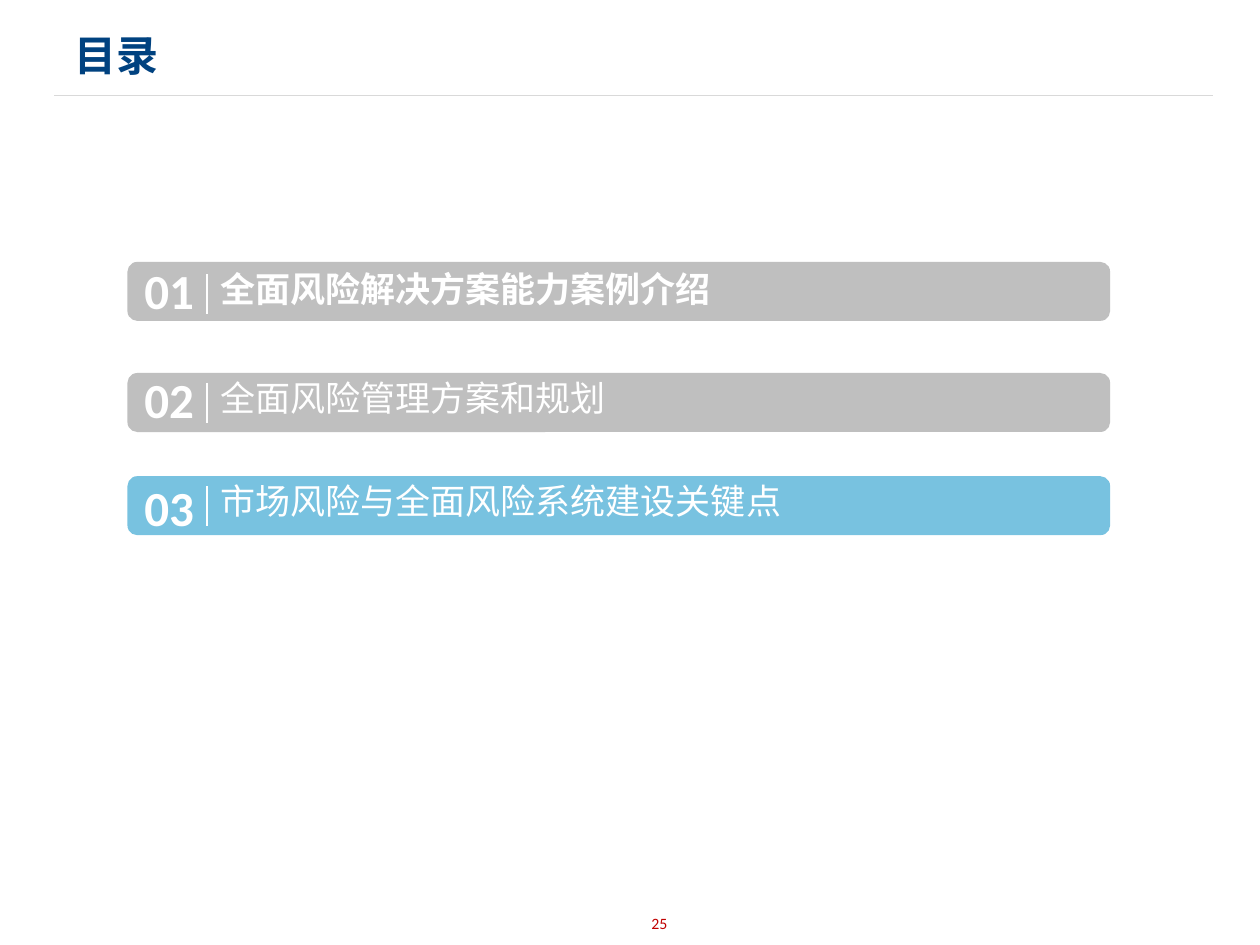
from lxml import etree
from pptx import Presentation
from pptx import util as u
from pptx.dml.color import RGBColor
from pptx.enum import shapes, text
from pptx.oxml.ns import qn

Cm = u.Cm
COLORS = {"title": "004280", "rule": "D9D9D9", "page": "C00000",
          "muted": "BFBFBF", "active": "78C2E0", "white": "FFFFFF"}


def write(tf, words, size, color, font="Calibri", bold=False, align="LEFT",
          anchor="TOP", wrap=True, inset=(0.25, 0.13)):
    tf.word_wrap = wrap
    tf.auto_size = text.MSO_AUTO_SIZE.NONE
    tf.vertical_anchor = getattr(text.MSO_ANCHOR, anchor)
    tf.margin_left = tf.margin_right = Cm(inset[0])
    tf.margin_top = tf.margin_bottom = Cm(inset[1])
    p = tf.paragraphs[0]
    p.alignment = getattr(text.PP_ALIGN, align)
    r = p.add_run()
    r.text = words
    r.font.size = u.Pt(size)
    r.font.bold = bold
    r.font.name = font
    r.font.color.rgb = RGBColor.from_string(COLORS[color])
    ea = etree.SubElement(r.font._element, qn("a:ea"))
    ea.set("typeface", "Noto Sans CJK SC")
    return p


def add_line(parent, x1, y1, x2, y2, color):
    c = parent.add_connector(shapes.MSO_CONNECTOR.STRAIGHT,
                             Cm(x1), Cm(y1), Cm(x2), Cm(y2))
    c.line.color.rgb = RGBColor.from_string(COLORS[color])
    c.line.width = u.Pt(0.75)
    etree.SubElement(c._element.spPr, qn("a:effectLst"))


prs = Presentation()
prs.slide_width, prs.slide_height = Cm(25.4), Cm(19.05)
s = prs.slides.add_slide(prs.slide_layouts[5])

add_line(s.shapes, 1.09, 1.93, 24.46, 1.93, "rule")

title = s.shapes.title
title.left, title.top, title.width, title.height = Cm(1.3), Cm(0.2), Cm(23.19), Cm(1.8)
write(title.text_frame, "目录", 24, "title", bold=True, anchor="MIDDLE", inset=(0.2, 0.1))

page = s.shapes.add_textbox(Cm(11.35), Cm(18.11), Cm(3.89), Cm(1.02))
write(page.text_frame, "25", 9, "page", align="CENTER", anchor="MIDDLE", inset=(0.2, 0.1))

sections = [
    ("01", "全面风险解决方案能力案例介绍", "muted", True, 5.28, 5.13, 5.33),
    ("02", "全面风险管理方案和规划", "muted", False, 7.52, 7.32, 7.52),
    ("03", "市场风险与全面风险系统建设关键点", "active", False, 9.6, 9.5, 9.6),
]
for number, name, fill, bold, bar_top, number_top, name_top in sections:
    group = s.shapes.add_group_shape().shapes

    bar = group.add_shape(shapes.MSO_SHAPE.ROUNDED_RECTANGLE,
                          Cm(2.57), Cm(bar_top), Cm(19.81), Cm(1.19))
    bar.shadow.inherit = False
    bar.fill.solid()
    bar.fill.fore_color.rgb = RGBColor.from_string(COLORS[fill])
    bar.line.fill.background()

    box = group.add_textbox(Cm(2.64), Cm(number_top), Cm(1.52), Cm(1.45))
    write(box.text_frame, number, 28, "white", bold=True, align="RIGHT", wrap=False)

    box = group.add_textbox(Cm(4.17), Cm(name_top), Cm(17.6), Cm(1.07))
    p = write(box.text_frame, name, 20, "white", font="Noto Sans CJK SC", bold=bold)
    p.line_spacing = 0.95
    p.space_after = u.Pt(8)
    pPr = p._p.get_or_add_pPr()
    pPr.set("marL", str(Cm(0.5)))
    pPr.set("indent", str(Cm(-0.48)))

    add_line(group, 4.17, name_top + 0.2, 4.17, name_top + 1, "white")

prs.save("out.pptx")
